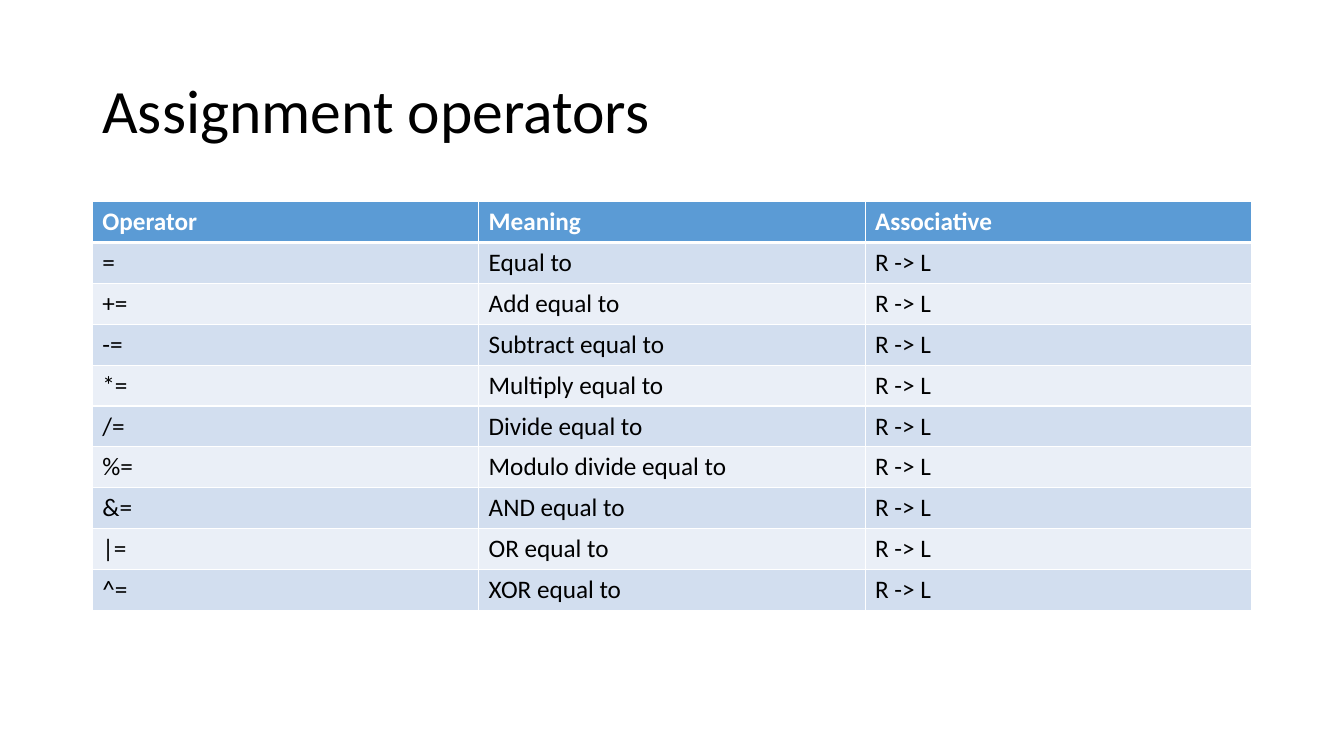
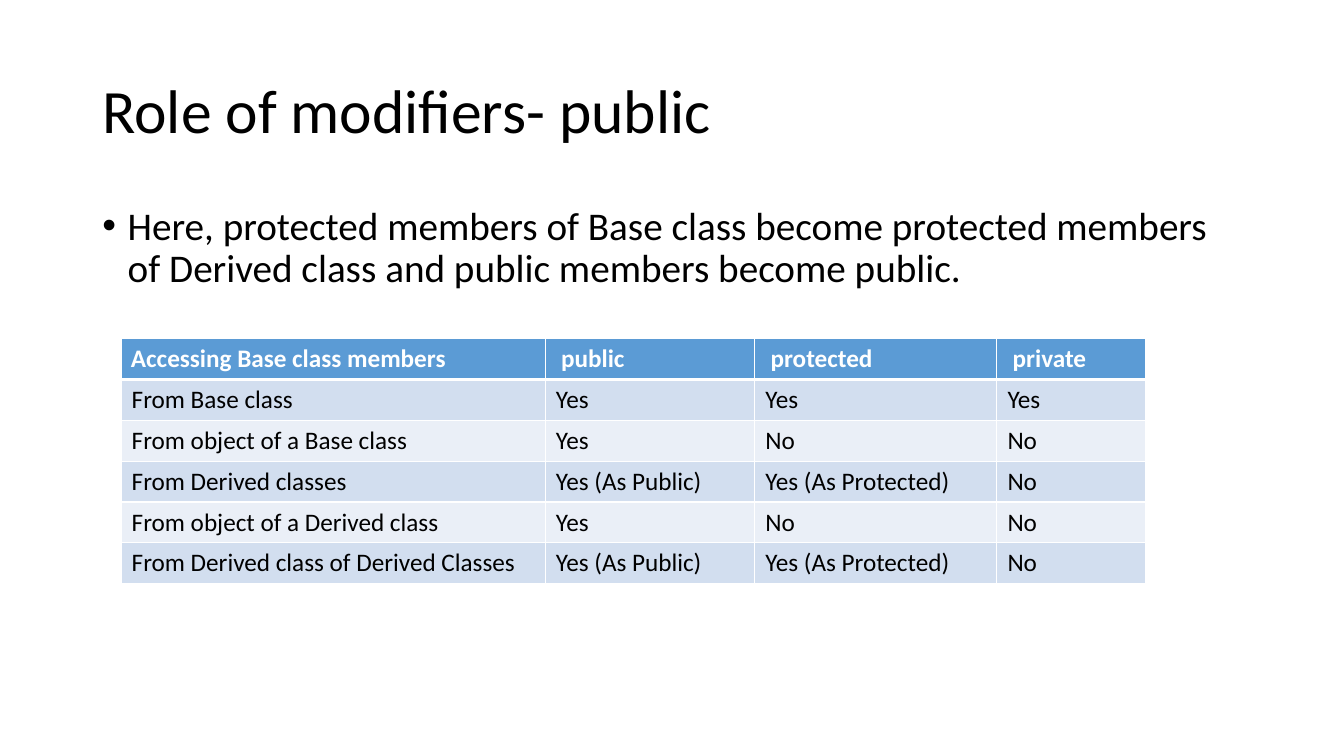
"""Build two slides on operators and access modifiers, each with a banded table."""
from dataclasses import dataclass

from lxml.etree import SubElement
from pptx import Presentation
from pptx.dml.color import RGBColor as RGB
from pptx.enum.text import MSO_ANCHOR as Anchor
from pptx.oxml.ns import qn
from pptx.util import Cm, Pt


@dataclass(frozen=True)
class Theme:
    font: str = "Calibri"
    title_size: int = 44
    body_size: int = 28
    table_size: int = 18
    text: str = "000000"
    white: str = "FFFFFF"
    header: str = "5B9BD5"
    bands: tuple = ("D2DEEF", "EAEFF7")
    rule: int = 1
    header_rule: int = 3


THEME = Theme()
LEFT, WIDTH, CONTENT_TOP = 2.33, 29.21, 5.08
TITLE_BOX = (LEFT, 1.01, WIDTH, 3.68)
BODY_BOX = (LEFT, CONTENT_TOP, WIDTH, 13.11)
ROW_HEIGHT = 1.03
BULLET_INDENT = 0.64

OPERATORS = [
    ("=", "Equal to"),
    ("+=", "Add equal to"),
    ("-=", "Subtract equal to"),
    ("*=", "Multiply equal to"),
    ("/=", "Divide equal to"),
    ("%=", "Modulo divide equal to"),
    ("&=", "AND equal to"),
    ("|=", "OR equal to"),
    ("^=", "XOR equal to"),
]
ACCESS = [
    ("Accessing Base class members", "public", "protected", "private"),
    ("From Base class", "Yes", "Yes", "Yes"),
    ("From object of a Base class", "Yes", "No", "No"),
    ("From Derived classes", "Yes (As Public)", "Yes (As Protected)", "No"),
    ("From object of a Derived class", "Yes", "No", "No"),
    ("From Derived class of Derived Classes", "Yes (As Public)", "Yes (As Protected)", "No"),
]
SLIDES = [
    {
        "title": "Assignment operators",
        "rows": [("Operator", "Meaning", "Associative")]
        + [(*operator, "R -> L") for operator in OPERATORS],
        "at": (LEFT, CONTENT_TOP),
        "columns": [WIDTH / 3] * 3,
        "header_insets": [0.25] * 3,
        "body_inset": 0.25,
        "anchor": Anchor.TOP,
    },
    {
        "title": "Role of modifiers- public",
        "body": "Here, protected members of Base class become protected members "
        "of Derived class and public members become public.",
        "rows": ACCESS,
        "at": (3.05, 8.53),
        "columns": [10.69, 5.28, 6.1, 3.76],
        "header_insets": [0.25, 0.4, 0.4, 0.4],
        "body_inset": 0.27,
        "anchor": Anchor.MIDDLE,
    },
]


def style(p, size, color, bold=False):
    for r in p.runs:
        r.font.name = THEME.font
        r.font.size = Pt(size)
        r.font.bold = bold
        r.font.color.rgb = RGB.from_string(color)


def add_text(slide, box, text, size, anchor):
    tf = slide.shapes.add_textbox(*map(Cm, box)).text_frame
    tf.word_wrap = True
    tf.vertical_anchor = anchor
    p = tf.paragraphs[0]
    p.text = text
    p.line_spacing = 0.9
    style(p, size, THEME.text)
    return p


def add_bullet(p):
    pPr = p._p.get_or_add_pPr()
    indent = Cm(BULLET_INDENT)
    pPr.set("marL", str(indent))
    pPr.set("indent", str(-indent))
    SubElement(pPr, qn("a:buFont"), typeface="Arial")
    SubElement(pPr, qn("a:buChar"), char="•")


def add_borders(cell, top, bottom):
    tcPr = cell._tc.get_or_add_tcPr()
    sides = {"lnL": THEME.rule, "lnR": THEME.rule, "lnT": top, "lnB": bottom}
    for side, width in sides.items():
        line = SubElement(tcPr, qn(f"a:{side}"), w=str(Pt(width)))
        fill = SubElement(line, qn("a:solidFill"))
        SubElement(fill, qn("a:srgbClr"), val=THEME.white)


def add_table(slide, content):
    rows, columns = content["rows"], content["columns"]
    size = (sum(columns), ROW_HEIGHT * len(rows))
    frame = slide.shapes.add_table(
        len(rows), len(columns), *map(Cm, (*content["at"], *size)))
    table = frame.table
    for column, width in zip(table.columns, columns):
        column.width = Cm(width)
    for i, row in enumerate(rows):
        table.rows[i].height = Cm(ROW_HEIGHT)
        header = i == 0
        fill = THEME.header if header else THEME.bands[(i - 1) % 2]
        top = THEME.header_rule if i == 1 else THEME.rule
        bottom = THEME.header_rule if header else THEME.rule
        for j, text in enumerate(row):
            cell = table.cell(i, j)
            cell.text_frame.text = text
            cell.vertical_anchor = content["anchor"]
            cell.margin_left = Cm(content["header_insets"][j] if header else content["body_inset"])
            add_borders(cell, top, bottom)
            cell.fill.solid()
            cell.fill.fore_color.rgb = RGB.from_string(fill)
            style(cell.text_frame.paragraphs[0], THEME.table_size,
                  THEME.white if header else THEME.text, bold=header)


def main():
    prs = Presentation()
    prs.slide_width, prs.slide_height = Cm(33.87), Cm(19.05)
    for content in SLIDES:
        slide = prs.slides.add_slide(prs.slide_layouts[6])
        add_text(slide, TITLE_BOX, content["title"], THEME.title_size, Anchor.MIDDLE)
        if "body" in content:
            add_bullet(add_text(slide, BODY_BOX, content["body"], THEME.body_size, Anchor.TOP))
        add_table(slide, content)
    prs.save("out.pptx")


if __name__ == "__main__":
    main()
